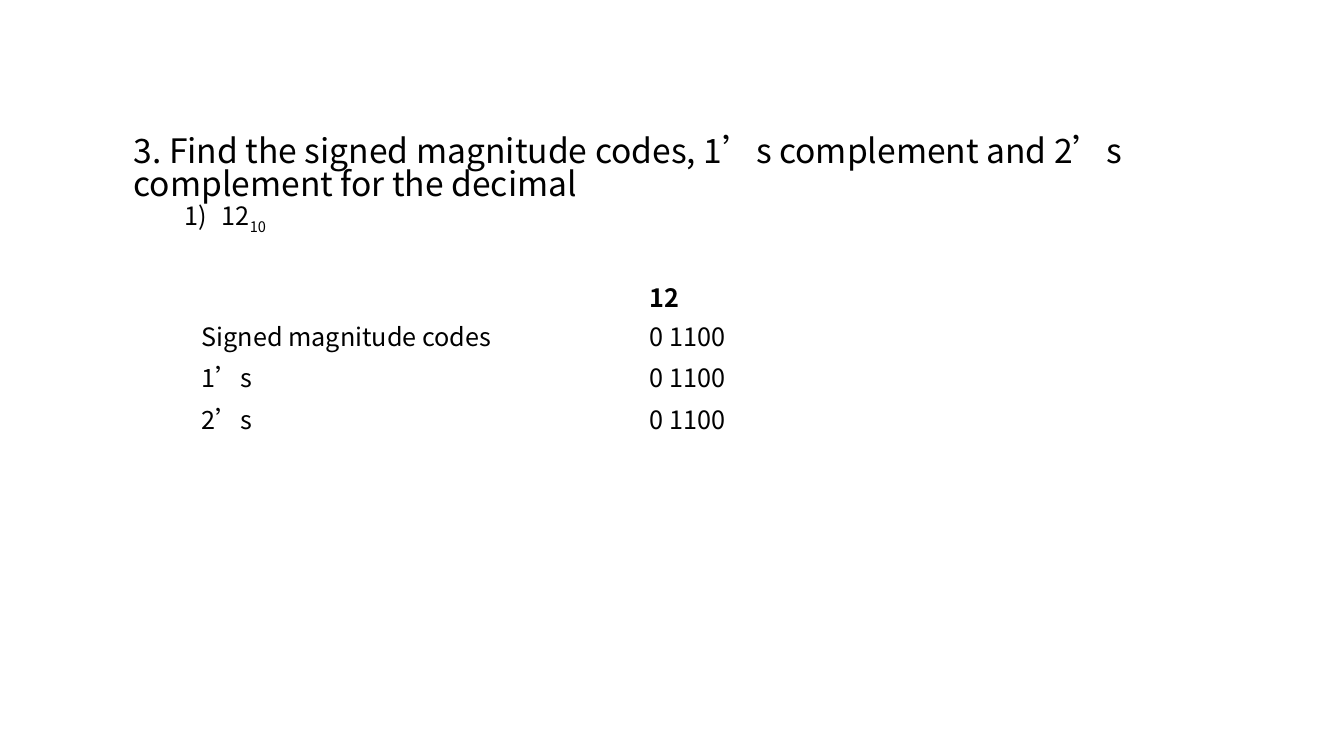
from dataclasses import dataclass

from lxml.etree import SubElement
from pptx import Presentation
from pptx.dml.color import RGBColor
from pptx.enum.text import MSO_ANCHOR
from pptx.oxml.ns import qn
from pptx.util import Cm, Pt

FONT = "Noto Sans CJK SC"
BLACK = "000000"


@dataclass
class CodeRow:
    label: str
    code: str
    height: float
    bold: bool = False


ROWS = [
    CodeRow("", "12", 0.99, bold=True),
    CodeRow("Signed magnitude codes", "0 1100", 1.04),
    CodeRow("1’s", "0 1100", 1.04),
    CodeRow("2’s", "0 1100", 1.04),
]


def add_run(p, text: str, *, size: float = 18, color: str = BLACK,
            bold: bool = False, baseline: int = 0) -> None:
    r = p.add_run()
    r.text = text
    r.font.size = Pt(size)
    r.font.bold = bold
    r.font.name = FONT
    r.font.color.rgb = RGBColor.from_string(color)
    rPr = r.font._element
    SubElement(rPr, qn("a:ea")).set("typeface", FONT)
    if baseline:
        rPr.set("baseline", str(baseline * 1000))


def number_paragraph(p, left: int, hanging: int) -> None:
    pPr = p._p.get_or_add_pPr()
    pPr.set("marL", str(left))
    pPr.set("indent", str(-hanging))
    SubElement(pPr, qn("a:buFont")).set("typeface", FONT)
    SubElement(pPr, qn("a:buAutoNum")).set("type", "arabicParenR")


def add_question(slide) -> None:
    sp = slide.shapes.add_textbox(Cm(3.12), Cm(3.33), Cm(26.8), Cm(7.95))
    tf = sp.text_frame
    tf.word_wrap = True
    p = tf.paragraphs[0]
    p.line_spacing = 0.82
    add_run(p, "3. Find the signed magnitude codes, 1’s complement and 2’s "
               "complement for the decimal", size=24)

    item = tf.add_paragraph()
    item.level = 1
    item.line_spacing = 0.82
    number_paragraph(item, Cm(2.22), Cm(0.95))
    add_run(item, "12")
    add_run(item, "10", baseline=-25)


def add_code_table(slide, rows: list[CodeRow]) -> None:
    height = Cm(sum(row.height for row in rows))
    frame = slide.shapes.add_table(len(rows), 2, Cm(4.83), Cm(6.88),
                                   Cm(22.58), height)
    table = frame.table
    table.horz_banding = False
    for i, row in enumerate(rows):
        table.rows[i].height = Cm(row.height)
        for j, text in enumerate((row.label, row.code)):
            cell = table.cell(i, j)
            cell.fill.background()
            cell.vertical_anchor = MSO_ANCHOR.TOP
            cell.margin_bottom = 0
            if text:
                add_run(cell.text_frame.paragraphs[0], text, bold=row.bold)


def main() -> None:
    prs = Presentation()
    prs.slide_width, prs.slide_height = Cm(33.87), Cm(19.05)
    slide = prs.slides.add_slide(prs.slide_layouts[6])

    # Question and its numbered item
    add_question(slide)

    # Answer table
    add_code_table(slide, ROWS)

    prs.save("out.pptx")


if __name__ == "__main__":
    main()
